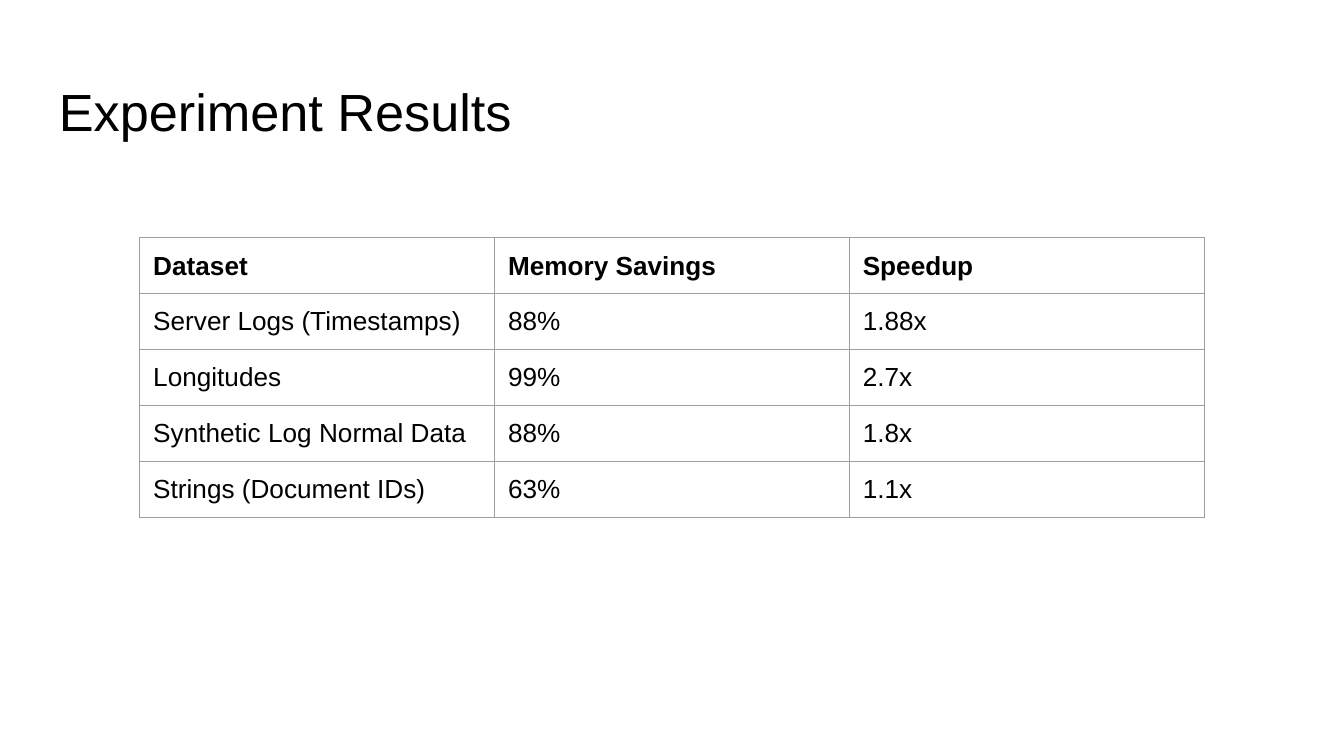
from lxml import etree
from pptx import Presentation
from pptx.dml.color import RGBColor
from pptx.enum.text import MSO_ANCHOR
from pptx.oxml.ns import qn
from pptx.util import Inches, Pt

TOP = MSO_ANCHOR.TOP
FONT = "Arial"
TEXT_COLOR = "000000"
BORDER_COLOR = "9E9E9E"
BORDER_WIDTH = 0.75
INSET = 0.1
CELL_BOTTOM_INSET = 0.08
RESULTS = [
    ("Dataset", "Memory Savings", "Speedup"),
    ("Server Logs (Timestamps)", "88%", "1.88x"),
    ("Longitudes", "99%", "2.7x"),
    ("Synthetic Log Normal Data", "88%", "1.8x"),
    ("Strings (Document IDs)", "63%", "1.1x"),
]


def color(hex_value):
    """Return the colour for a hex string."""
    return RGBColor.from_string(hex_value)


def write_text(container, text, size, bold=False, bottom=INSET):
    """Write one styled paragraph with insets into a cell or text frame."""
    container.margin_left = container.margin_right = Inches(INSET)
    container.margin_top = Inches(INSET)
    container.margin_bottom = Inches(bottom)
    container.vertical_anchor = TOP
    frame = getattr(container, "text_frame", container)
    frame.word_wrap = True
    paragraph = frame.paragraphs[0]
    paragraph.text = text
    paragraph.font.name = FONT
    paragraph.font.size = Pt(size)
    paragraph.font.bold = bold
    paragraph.font.color.rgb = color(TEXT_COLOR)


def add_borders(cell):
    """Draw a thin solid line on all four sides of a cell."""
    properties = cell._tc.get_or_add_tcPr()
    for side in ("a:lnL", "a:lnR", "a:lnT", "a:lnB"):
        line = etree.SubElement(properties, qn(side), w=str(Pt(BORDER_WIDTH)))
        fill = etree.SubElement(line, qn("a:solidFill"))
        etree.SubElement(fill, qn("a:srgbClr"), val=BORDER_COLOR)


def add_title(slide, left, top, width, height):
    """Place the slide title in the given box."""
    box = slide.shapes.add_textbox(
        Inches(left), Inches(top), Inches(width), Inches(height))
    write_text(box.text_frame, "Experiment Results", 28)


def add_results_table(slide, left, top, width, height):
    """Place the results table in the given box with equal rows and columns."""
    shape = slide.shapes.add_table(
        len(RESULTS), len(RESULTS[0]),
        Inches(left), Inches(top), Inches(width), Inches(height))
    table = shape.table
    table.horz_banding = False
    for row_index, values in enumerate(RESULTS):
        for column_index, value in enumerate(values):
            cell = table.cell(row_index, column_index)
            write_text(cell, value, 14, row_index == 0, CELL_BOTTOM_INSET)
            add_borders(cell)
            cell.fill.background()


def main():
    """Build and save the presentation."""
    presentation = Presentation()
    presentation.slide_width = Inches(10)
    presentation.slide_height = presentation.slide_width * 9 // 16
    slide = presentation.slides.add_slide(presentation.slide_layouts[6])
    add_title(slide, 0.34, 0.49, 9.32, 0.63)
    add_results_table(slide, 1.04, 1.77, 7.92, 2.08)
    presentation.save("out.pptx")


if __name__ == "__main__":
    main()
